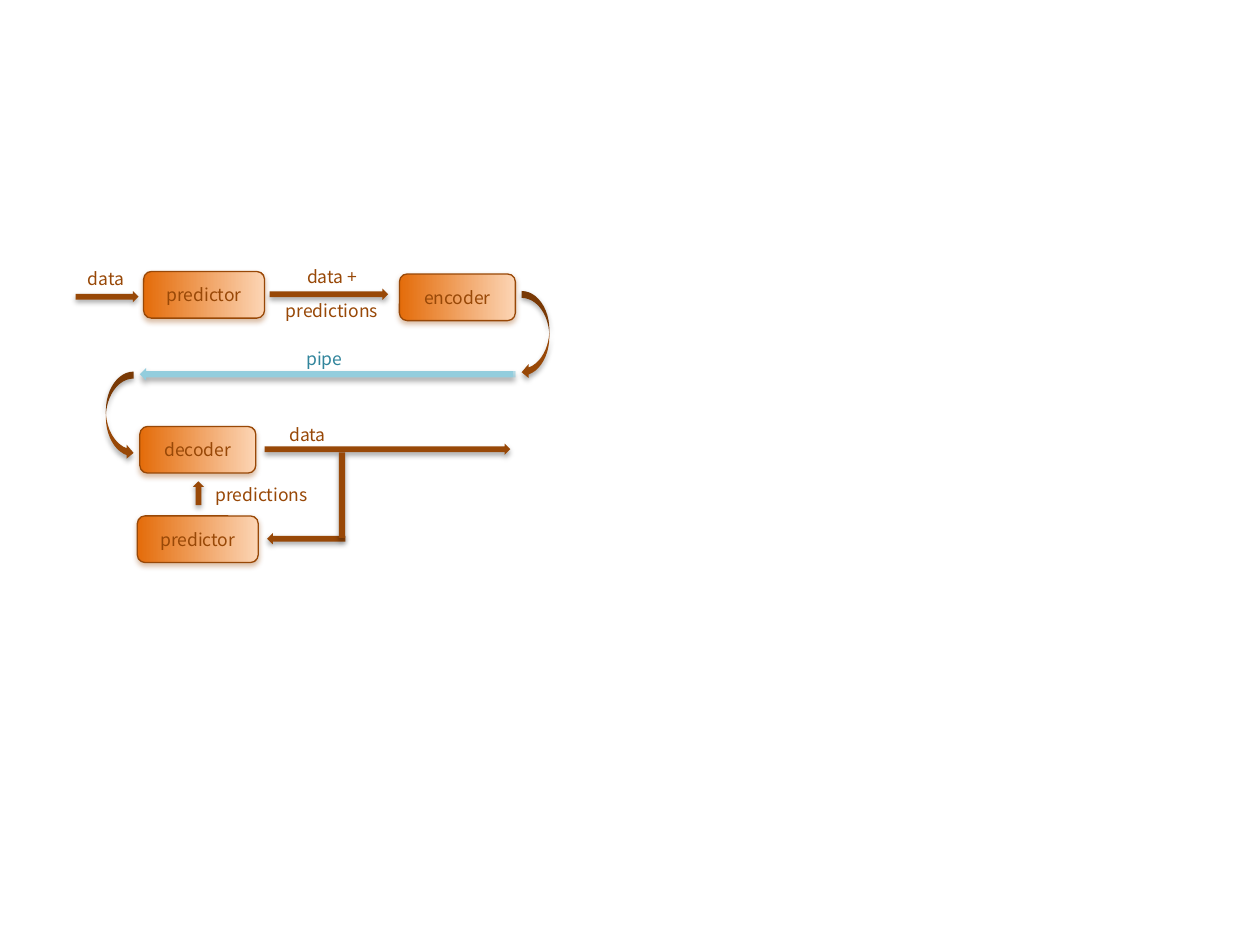
from lxml import etree
from pptx import Presentation
from pptx import util as u
from pptx.dml.color import RGBColor
from pptx.enum import shapes, text
from pptx.oxml import parse_xml
from pptx.oxml.ns import nsdecls, qn

BROWN, ORANGE, PEACH = "984807", "E46C0A", "FCD5B5"
LIGHT_BLUE, TEAL, BLACK = "93CDDD", "31859C", "000000"
FONT = "Noto Sans CJK JP"
KINDS = shapes.MSO_SHAPE

presentation = Presentation()
presentation.slide_width, presentation.slide_height = u.Inches(10), u.Inches(7.5)
slide = presentation.slides.add_slide(presentation.slide_layouts[6])


def effects(shadow_color):
    return parse_xml(
        f'<a:effectLst {nsdecls("a")}><a:outerShdw blurRad="39370" dist="22860" '
        f'dir="5400000" rotWithShape="0"><a:srgbClr val="{shadow_color}">'
        '<a:alpha val="35000"/></a:srgbClr></a:outerShdw></a:effectLst>')


def write(shape, words, color):
    paragraph = shape.text_frame.paragraphs[0]
    paragraph.text = words
    paragraph.alignment = text.PP_ALIGN.CENTER
    font = paragraph.runs[0].font
    font.size, font.name = u.Pt(10), FONT
    font.color.rgb = RGBColor.from_string(color)
    # Soft shadow behind the letters, placed right after their fill
    fill = paragraph.runs[0]._r.rPr.find(qn("a:solidFill"))
    fill.addnext(effects(BLACK))


# Rows of the diagram, by centre line
SEND, PIPE, DECODE, PREDICT = 2.34, 2.97, 3.57, 4.28
BOX_HEIGHT, ARROW_HEIGHT, LABEL_HEIGHT = 0.37, 0.09, 0.27
CURVE = (0.22, 0.7)

# Arrows and connecting bar: kind, left, top, width, height, rotation, colour
arrows = [
    (KINDS.RIGHT_ARROW, 0.6, SEND - 0.03, 0.5, ARROW_HEIGHT, 0, BROWN),
    (KINDS.RIGHT_ARROW, 2.14, SEND - 0.05, 0.94, ARROW_HEIGHT, 0, BROWN),
    (KINDS.CURVED_LEFT_ARROW, 4.14, SEND - 0.03, *CURVE, 0, BROWN),
    (KINDS.STRIPED_RIGHT_ARROW, 1.11, PIPE - 0.05, 2.98, 0.1, 180, LIGHT_BLUE),
    (KINDS.CURVED_RIGHT_ARROW, 0.84, PIPE - 0.02, *CURVE, 0, BROWN),
    (KINDS.RIGHT_ARROW, 2.1, DECODE - 0.05, 1.95, ARROW_HEIGHT, 0, BROWN),
    (KINDS.RIGHT_ARROW, 2.12, PREDICT - 0.05, 0.62, ARROW_HEIGHT, 180, BROWN),
    (KINDS.RECTANGLE, 2.69, DECODE + 0.02, 0.05, 0.68, 0, BROWN),
    (KINDS.RIGHT_ARROW, 1.48, 3.87, 0.19, ARROW_HEIGHT, 270, BROWN),
]
for kind, left, top, width, height, rotation, color in arrows:
    arrow = slide.shapes.add_shape(kind, *map(u.Inches, (left, top, width, height)))
    arrow.rotation = rotation
    arrow.fill.solid()
    arrow.fill.fore_color.rgb = RGBColor.from_string(color)
    arrow.line.fill.background()
    arrow._element.spPr.append(effects(BLACK))

# Process boxes: words, left, centre line, width
boxes = [
    ("predictor", 1.14, SEND, 0.96),
    ("encoder", 3.17, SEND + 0.02, 0.92),
    ("decoder", 1.11, DECODE, 0.92),
    ("predictor", 1.09, PREDICT, 0.96),
]
for words, left, middle, width in boxes:
    box = slide.shapes.add_shape(
        KINDS.FLOWCHART_ALTERNATE_PROCESS,
        *map(u.Inches, (left, middle - BOX_HEIGHT / 2, width, BOX_HEIGHT)))
    box.fill.gradient()
    box.fill.gradient_angle = 0
    for stop, color in zip(box.fill.gradient_stops, (ORANGE, PEACH)):
        stop.color.rgb = RGBColor.from_string(color)
        stop.position = 0 if color == ORANGE else 1
    box.line.color.rgb = RGBColor.from_string(BROWN)
    box.line.width = u.Pt(0.75)
    box._element.spPr.append(effects(BROWN))
    box.text_frame.vertical_anchor = text.MSO_ANCHOR.MIDDLE
    write(box, words, BROWN)

# Labels: words, left, top, width, colour
labels = [
    ("data", 0.57, 2.08, 0.54, BROWN),
    ("data +", 2.29, 2.06, 0.69, BROWN),
    ("predictions", 2.1, 2.33, 1.07, BROWN),
    ("pipe", 2.31, 2.71, 0.53, TEAL),
    ("data", 2.17, 3.32, 0.54, BROWN),
    ("predictions", 1.54, 3.79, 1.07, BROWN),
]
for words, left, top, width, color in labels:
    label = slide.shapes.add_textbox(*map(u.Inches, (left, top, width, LABEL_HEIGHT)))
    label.text_frame.word_wrap = False
    label.text_frame.auto_size = text.MSO_AUTO_SIZE.SHAPE_TO_FIT_TEXT
    write(label, words, color)

presentation.save("out.pptx")
